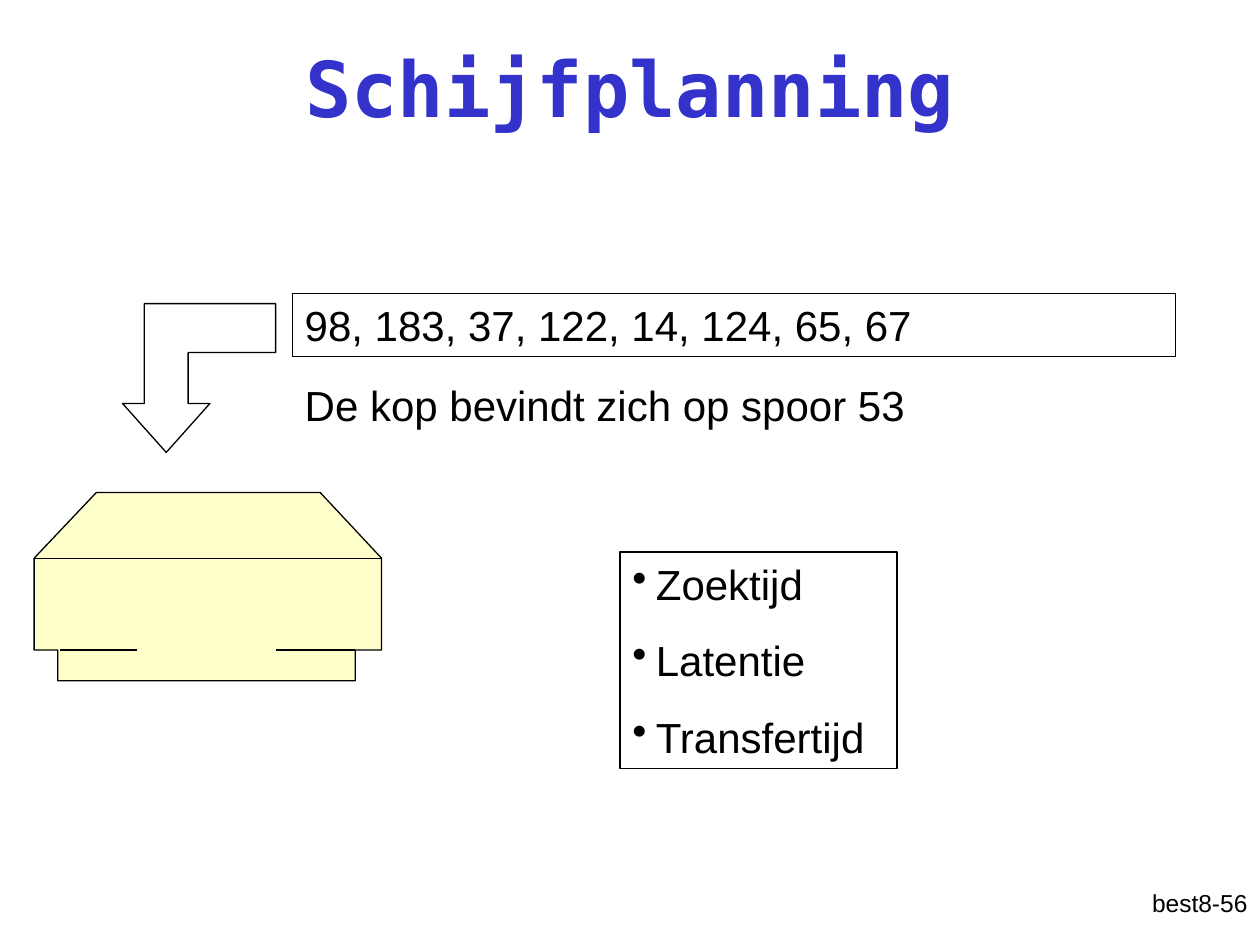
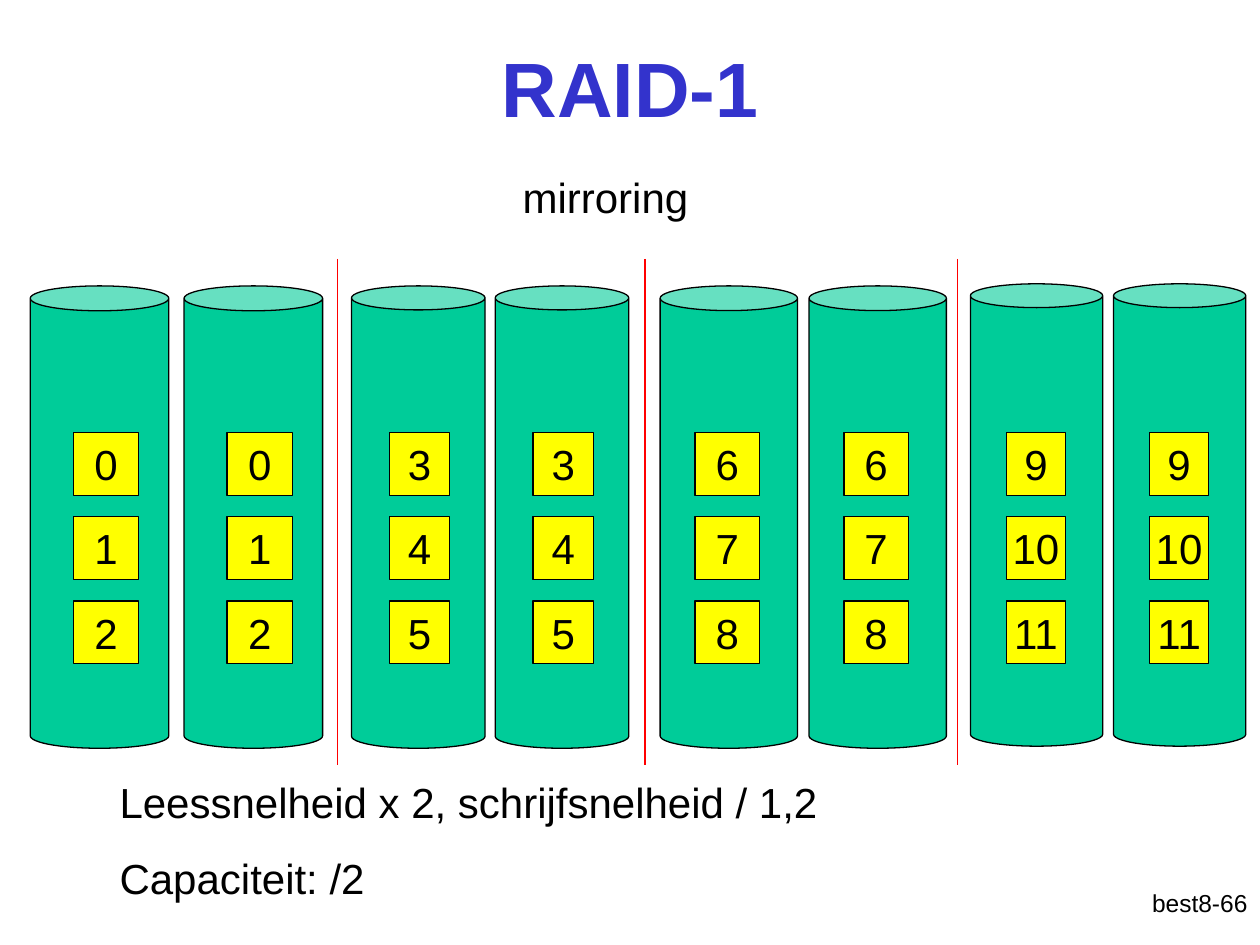
from pptx import Presentation
from pptx.dml.color import RGBColor
from pptx.enum import shapes, text
from pptx.oxml import ns
from pptx.util import Pt
from lxml import etree

BLACK = RGBColor(0, 0, 0)
WHITE = RGBColor(255, 255, 255)
BLUE = RGBColor(0x33, 0x33, 0xCC)
CREAM = RGBColor(0xFF, 0xFF, 0xCC)
GREEN = RGBColor(0, 0xCC, 0x99)
YELLOW = RGBColor(255, 255, 0)
RED = RGBColor(255, 0, 0)

SANS = "Arial"
MONO = "DejaVu Sans Mono"
LEFT, MID, RIGHT = text.PP_ALIGN.LEFT, text.PP_ALIGN.CENTER, text.PP_ALIGN.RIGHT
RECT, CAN = shapes.MSO_SHAPE.RECTANGLE, shapes.MSO_SHAPE.CAN


class Deck:
    """Holds the house style and the slide being filled."""

    def __init__(self):
        self.prs = Presentation()
        self.prs.slide_width, self.prs.slide_height = Pt(720), Pt(540)

    def page(self, title, foot, font=SANS):
        self.slide = self.prs.slides.add_slide(self.prs.slide_layouts[6])
        self.label((570.24, 504, 149.76, 36), [foot], size=14, align=RIGHT)
        self.label((54, 4.32, 612, 90), [title], size=44, align=MID, font=font,
                   color=BLUE, bold=True, anchor=text.MSO_ANCHOR.MIDDLE)

    def letter(self, shape, lines, size=24, align=LEFT, font=SANS, color=BLACK,
               bold=False, anchor=text.MSO_ANCHOR.TOP, wrap=True,
               indent=0, bullet=None):
        frame = shape.text_frame
        frame.word_wrap, frame.vertical_anchor = wrap, anchor
        for i, line in enumerate(lines):
            para = frame.add_paragraph() if i else frame.paragraphs[0]
            para.text, para.alignment = line, align
            props = para._p.get_or_add_pPr()
            if indent:
                props.set("marL", str(Pt(indent)))
            if bullet:
                props.set("indent", str(-Pt(indent)))
                mark = etree.SubElement(props, ns.qn("a:buChar"))
                mark.set("char", bullet)
            if i:
                para.space_before = Pt(15)
            para.font.size, para.font.name = Pt(size), font
            para.font.bold, para.font.color.rgb = bold, color

    def label(self, box, lines, **style):
        shape = self.slide.shapes.add_textbox(*map(Pt, box))
        self.letter(shape, lines, **style)

    def paint(self, shape, fill):
        shape.shadow.inherit = False
        if fill is None:
            shape.fill.background()
        else:
            shape.fill.solid()
            shape.fill.fore_color.rgb = fill
        shape.line.color.rgb, shape.line.width = BLACK, Pt(0.75)

    def shape(self, kind, box, fill=None, lines=(), **style):
        shape = self.slide.shapes.add_shape(kind, *map(Pt, box))
        self.paint(shape, fill)
        self.letter(shape, lines, **style)
        return shape

    def outline(self, points, fill):
        start, *rest = [(Pt(x), Pt(y)) for x, y in points]
        pen = self.slide.shapes.build_freeform(*start, scale=1.0)
        pen.add_line_segments(rest, close=True)
        self.paint(pen.convert_to_shape(), fill)

    def rule(self, x1, y1, x2, y2, color=BLACK):
        line = self.slide.shapes.add_connector(
            shapes.MSO_CONNECTOR.STRAIGHT, *map(Pt, (x1, y1, x2, y2)))
        line.line.color.rgb, line.line.width = color, Pt(0.75)
        etree.SubElement(line._element.spPr, ns.qn("a:effectLst"))


def plan(deck):
    """Disk scheduling: request queue, drive and cost terms."""
    deck.page("Schijfplanning", "best8-56", MONO)
    # Request queue and head position
    deck.shape(RECT, (167.04, 167.76, 504.72, 36),
               lines=["98, 183, 37, 122, 14, 124, 65, 67"])
    deck.label((167.04, 213.12, 357.12, 36),
               ["De kop bevindt zich op spoor 53"], align=MID, wrap=False)
    # Drive with its seams
    left, right, seam, base = 19.5, 218, 319, 371.5
    deck.outline([(left, seam), (55, 281.5), (183, 281.5), (right, seam),
                  (right, base), (203, base), (203, 389), (33, 389),
                  (33, base), (left, base)], CREAM)
    deck.rule(left, seam, right, seam)
    for x1, x2 in ((34.5, 78.5), (157.5, 203)):
        deck.rule(x1, base, x2, base)
    # Arrow from queue to drive
    deck.outline([(95, 258.5), (120, 230.5), (107.5, 230.5), (107.5, 201.5),
                  (157.5, 201.5), (157.5, 173.5), (82.5, 173.5),
                  (82.5, 230.5), (70, 230.5)], WHITE)
    # Cost terms
    deck.shape(RECT, (354.24, 315.36, 158.4, 123.84),
               lines=["Zoektijd", "Latentie", "Transfertijd"],
               indent=13.5, bullet="•")


def raid(deck):
    """Mirrored pairs of disks, three blocks on each."""
    deck.page("RAID-1", "best8-66")
    deck.label((195.84, 94.32, 300.24, 324), ["mirroring"], align=MID)
    # Per pair: disk lefts, disk top and width, block inset and width
    pairs = [((17.3, 105.2), 163.4, 79.2, 24.5, 37.5),
             ((200.9, 283), 163.4, 76.3, 21.6, 34.5),
             ((377.2, 462.3), 163.4, 78.5, 20, 36.7),
             ((554.5, 636.3), 162.2, 75.6, 20.5, 34)]
    for n, (lefts, top, width, inset, side) in enumerate(pairs):
        for left in lefts:
            can = deck.shape(CAN, (left, top, width, 264.24), GREEN)
            can.adjustments[0] = 0.18
            for row in range(3):
                deck.shape(RECT, (left + inset, 247 + 48.2 * row, side, 36),
                           YELLOW, [str(3 * n + row)], align=MID, wrap=False,
                           anchor=text.MSO_ANCHOR.MIDDLE)
    # Dividers between pairs
    for x in (193, 368.6, 547.2):
        deck.rule(x, 148, x, 437, RED)
    # Speed and capacity
    deck.label((25.2, 439.92, 655.92, 79.92),
               ["Leessnelheid x 2, schrijfsnelheid / 1,2", "Capaciteit: /2"],
               indent=36)


def main():
    deck = Deck()
    plan(deck)
    raid(deck)
    deck.prs.save("out.pptx")


if __name__ == "__main__":
    main()
